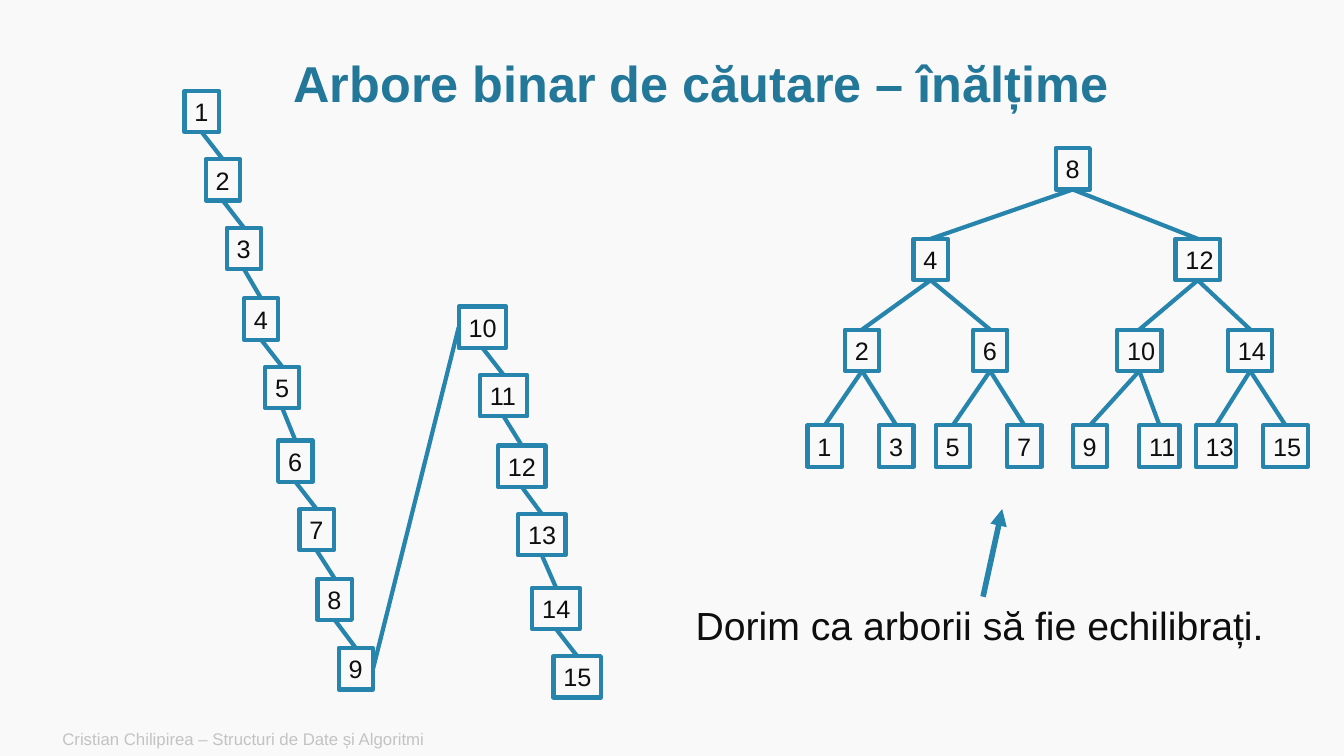
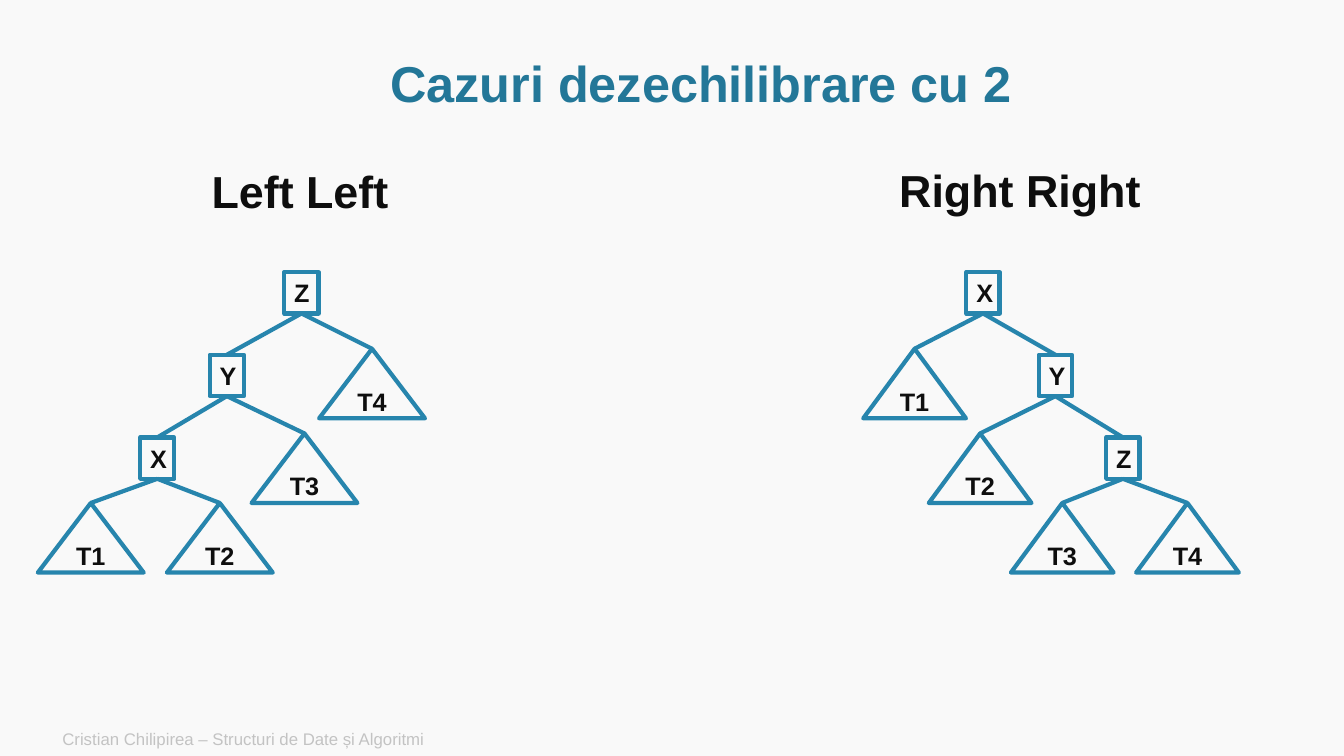
from lxml.etree import SubElement
from pptx import Presentation
from pptx.dml.color import RGBColor
from pptx.enum.shapes import MSO_CONNECTOR, MSO_SHAPE
from pptx.enum.text import MSO_ANCHOR, PP_ALIGN
from pptx.oxml.ns import qn
from pptx.util import Inches, Pt

BACKGROUND = RGBColor(0xF9, 0xF9, 0xF9)
TITLE_BLUE = RGBColor(0x23, 0x77, 0x98)
LINE_BLUE = RGBColor(0x27, 0x85, 0xAD)
INK = RGBColor(0x0E, 0x0E, 0x0E)
FOOTER_GRAY = RGBColor(0xC3, 0xC3, 0xC3)

LEFT, CENTER = PP_ALIGN.LEFT, PP_ALIGN.CENTER
TOP, MIDDLE = MSO_ANCHOR.TOP, MSO_ANCHOR.MIDDLE
RECTANGLE, TRIANGLE = MSO_SHAPE.RECTANGLE, MSO_SHAPE.ISOSCELES_TRIANGLE
NODE_HEIGHT = 0.41
TOP_SIDE, LEFT_SIDE, BOTTOM_SIDE, RIGHT_SIDE = range(4)

FORMATS = {
    "title": {"size": Pt(36), "color": TITLE_BLUE, "bold": True, "align": CENTER, "anchor": MIDDLE, "spacing": 0.9},
    "footer": {"size": Pt(12), "color": FOOTER_GRAY, "anchor": MIDDLE},
    "heading": {"size": Pt(32), "bold": True},
    "caption": {"size": Pt(28), "wrap": False},
    "number": {"size": Pt(18), "anchor": MIDDLE, "wrap": False},
    "letter": {"size": Pt(18), "bold": True, "anchor": MIDDLE, "wrap": False},
    "subtree": {"size": Pt(18), "bold": True, "align": CENTER, "anchor": MIDDLE},
}


def add_label(slide, text, box, style, preset=None):
    values = FORMATS[style]
    lengths = [Inches(value) for value in box]
    if preset is None:
        shape = slide.shapes.add_textbox(*lengths)
    else:
        shape = slide.shapes.add_shape(preset, *lengths)
        shape.shadow.inherit = False
        shape.fill.background()
        shape.line.color.rgb = LINE_BLUE
        shape.line.width = Pt(3)
    frame = shape.text_frame
    frame.word_wrap = values.get("wrap", True)
    frame.vertical_anchor = values.get("anchor", TOP)
    paragraph = frame.paragraphs[0]
    paragraph.text = text
    paragraph.alignment = values.get("align", LEFT)
    paragraph.line_spacing = values.get("spacing")
    for name, value in {"name": "Arial", "size": values["size"], "bold": values.get("bold", False)}.items():
        setattr(paragraph.font, name, value)
    paragraph.font.color.rgb = values.get("color", INK)
    return shape


def add_line(slide, start=(0, 0), end=(0, 0), parent=None, child=None, sides=(BOTTOM_SIDE, TOP_SIDE), width=3):
    points = [Inches(value) for value in (*start, *end)]
    connector = slide.shapes.add_connector(MSO_CONNECTOR.STRAIGHT, *points)
    if parent is not None:
        connector.begin_connect(parent, sides[0])
        connector.end_connect(child, sides[1])
    connector.line.color.rgb = LINE_BLUE
    connector.line.width = Pt(width)
    SubElement(connector._element.spPr, qn("a:effectLst"))
    return connector


presentation = Presentation()
presentation.slide_width = Inches(13.33)
presentation.slide_height = Inches(7.5)
presentation.slide_master.background.fill.solid()
presentation.slide_master.background.fill.fore_color.rgb = BACKGROUND

slides = []
for title in ("Arbore binar de căutare – înălțime", "Cazuri dezechilibrare cu 2"):
    slide = presentation.slides.add_slide(presentation.slide_layouts[6])
    add_label(slide, "Cristian Chilipirea – Structuri de Date și Algoritmi", (0.52, 7.16, 8.4, 0.34), "footer")
    add_label(slide, title, (1.14, 0.51, 11.63, 0.69), "title")
    slides.append(slide)
height_slide, cases_slide = slides

chain_positions = [
    (1.83, 0.9), (2.04, 1.58), (2.25, 2.26), (2.42, 2.96), (2.63, 3.64),
    (2.76, 4.37), (2.97, 5.05), (3.15, 5.74), (3.36, 6.43), (4.55, 3.04),
    (4.76, 3.72), (4.94, 4.42), (5.14, 5.1), (5.28, 5.83), (5.49, 6.51),
]
previous = None
for number, (left, top) in enumerate(chain_positions, 1):
    width = 0.34 if number < 10 else 0.47
    node = add_label(height_slide, str(number), (left, top, width, NODE_HEIGHT), "number", RECTANGLE)
    if previous is not None:
        sides = (RIGHT_SIDE, LEFT_SIDE) if number == 10 else (BOTTOM_SIDE, TOP_SIDE)
        add_line(height_slide, parent=previous, child=node, sides=sides)
    previous = node

balanced_lefts = [8.01, 8.38, 8.72, 9.06, 9.28, 9.65, 9.99, 10.47, 10.64, 11.08, 11.3, 11.66, 11.86, 12.18, 12.53]
balanced_widths = {11: 0.4, 13: 0.4}
balanced_nodes = {}
for step, top in ((8, 1.47), (4, 2.37), (2, 3.27), (1, 4.22)):
    for number in range(step, 16, 2 * step):
        width = balanced_widths.get(number, 0.34 if number < 10 else 0.44)
        box = (balanced_lefts[number - 1], top, width, NODE_HEIGHT)
        node = add_label(height_slide, str(number), box, "number", RECTANGLE)
        balanced_nodes[number] = node
        if step < 8:
            parent_number = number + step if number // step % 4 == 1 else number - step
            add_line(height_slide, parent=balanced_nodes[parent_number], child=node)

add_label(height_slide, "Dorim ca arborii să fie echilibrați.", (6.8, 5.92, 5.91, 0.57), "caption")
arrow = add_line(height_slide, (9.75, 5.92), (9.94, 5.05), width=4)
SubElement(arrow.line._get_or_add_ln(), qn("a:tailEnd"), type="triangle")

ROOT_CENTER, MIRROR_CENTER, MIRROR_SCALE = 2.99, 9.75, 0.97
case_nodes = [
    ("Z", "X", 2.99, 2.7, None),
    ("Y", "Y", 2.25, 3.52, "Z"),
    ("X", "Z", 1.56, 4.34, "Y"),
    ("T1", "T4", 0.9, 4.99, "X"),
    ("T2", "T3", 2.18, 4.99, "X"),
    ("T3", "T2", 3.02, 4.3, "Y"),
    ("T4", "T1", 3.69, 3.46, "Z"),
]
for heading, box, mirrored in (
    ("Left Left", (2, 1.58, 1.98, 0.64), False),
    ("Right Right", (8.82, 1.57, 2.95, 0.64), True),
):
    add_label(cases_slide, heading, box, "heading")
    drawn = {}
    for name, mirror_name, center, top, parent_name in case_nodes:
        subtree = name.startswith("T")
        width, height = (1.05, 0.69) if subtree else (0.34, NODE_HEIGHT)
        if mirrored:
            center = MIRROR_CENTER + MIRROR_SCALE * (ROOT_CENTER - center)
            width *= MIRROR_SCALE
        drawn[name] = add_label(
            cases_slide,
            mirror_name if mirrored else name,
            (center - width / 2, top, width, height),
            "subtree" if subtree else "letter",
            TRIANGLE if subtree else RECTANGLE,
        )
        if parent_name is not None:
            add_line(cases_slide, parent=drawn[parent_name], child=drawn[name])

presentation.save("out.pptx")
